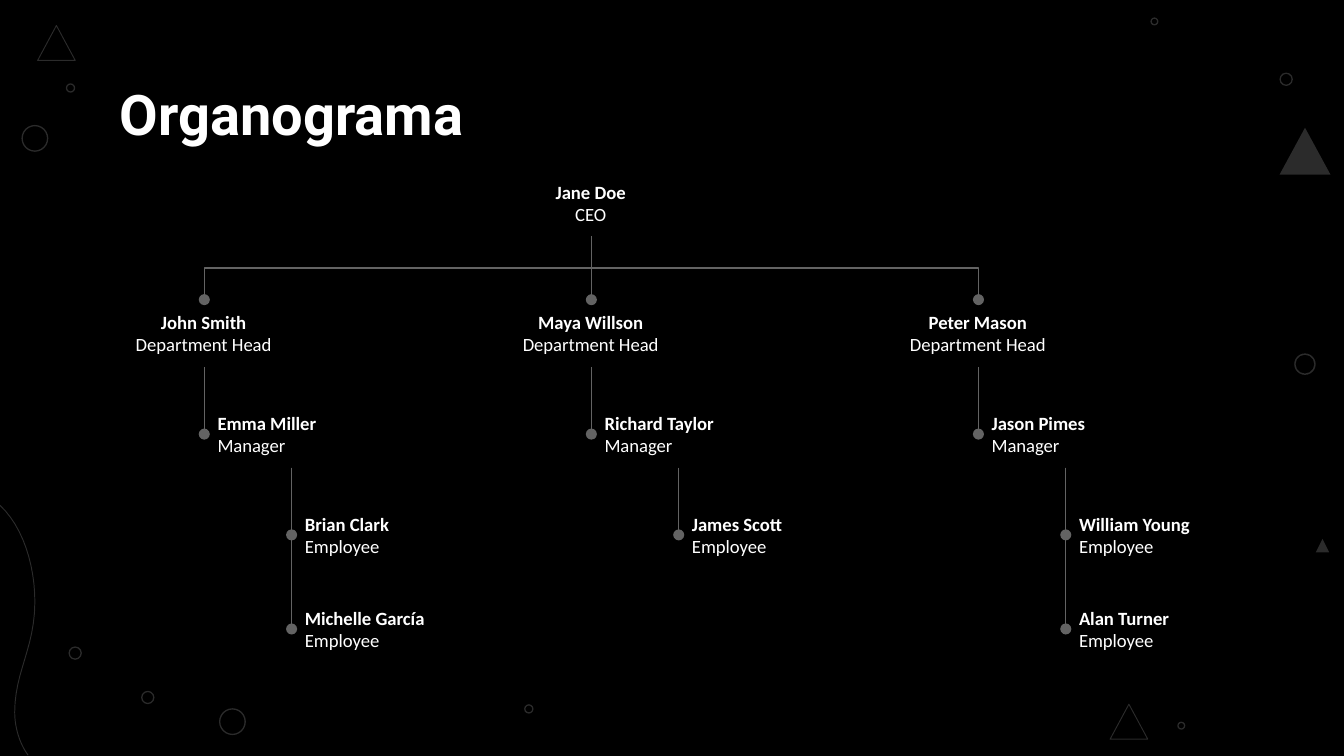
from pptx import Presentation, util as u
from pptx.dml import color
from pptx.enum import shapes, text
from pptx.oxml import ns
from lxml import etree

WHITE, GREY, BLACK = "FFFFFF", "636363", "000000"
KIND = shapes.MSO_SHAPE
LINK = shapes.MSO_CONNECTOR
LEFT, MID = text.PP_ALIGN.LEFT, text.PP_ALIGN.CENTER

TEAMS = [
    ("John Smith", "Emma Miller", ["Brian Clark", "Michelle García"]),
    ("Maya Willson", "Richard Taylor", ["James Scott"]),
    ("Peter Mason", "Jason Pimes", ["William Young", "Alan Turner"]),
]
RINGS = [
    (9.63, 2.63, 0.16), (8.76, 5.37, 0.06), (0.51, 4.81, 0.1),
    (1.63, 5.27, 0.2), (8.56, 0.13, 0.06), (3.9, 5.24, 0.07),
    (1.05, 5.14, 0.1), (0.49, 0.62, 0.07), (0.16, 0.93, 0.2),
    (9.52, 0.54, 0.1),
]
HOLLOW = [(8.26, 5.24, 0.28, 0.26), (0.28, 0.19, 0.28, 0.26)]
SOLID = [(9.79, 4.01, 0.1, 0.1), (9.52, 0.95, 0.38, 0.35)]
WAVE = [
    [(0, 3.76), (0.17, 3.92), (0.26, 4.2), (0.26, 4.48)],
    [(0.26, 4.48), (0.26, 4.82), (0.11, 5), (0.11, 5.3)],
    [(0.11, 5.3), (0.11, 5.42), (0.15, 5.54), (0.21, 5.62)],
]


def paint(fill, tone, alpha=None):
    fill.solid()
    fill.fore_color.rgb = color.RGBColor.from_string(tone)
    if alpha:
        node = fill._xPr.find(".//" + ns.qn("a:srgbClr"))
        etree.SubElement(node, ns.qn("a:alpha"), val=str(alpha * 1000))


def faint(shape, full):
    shape.shadow.inherit = False
    if full:
        paint(shape.fill, WHITE, 17)
        shape.line.fill.background()
    else:
        shape.fill.background()
        shape.line.width = u.Pt(0.5)
        paint(shape.line.fill, WHITE, 17)


def add_ring(slide, x, y, size):
    ring = slide.shapes.add_shape(KIND.DONUT, *map(u.Inches, (x, y, size, size)))
    ring.adjustments[0] = 0.01 / size
    faint(ring, True)


def add_peak(slide, box, full):
    peak = slide.shapes.add_shape(KIND.ISOSCELES_TRIANGLE, *map(u.Inches, box))
    faint(peak, full)


def curve(ends, t):
    parts = ((1 - t) ** 3, 3 * t * (1 - t) ** 2, 3 * t * t * (1 - t), t ** 3)
    return tuple(u.Inches(sum(p * e[i] for p, e in zip(parts, ends))) for i in (0, 1))


def add_wave(slide):
    dots = [curve(ends, n / 12) for ends in WAVE for n in range(1, 13)]
    build = slide.shapes.build_freeform(*curve(WAVE[0], 0))
    build.add_line_segments(dots, close=False)
    faint(build.convert_to_shape(), False)


def add_title(slide, words):
    title = slide.shapes.title
    title.left, title.top, title.width, title.height = map(
        u.Inches, (0.79, 0.49, 8.43, 0.63))
    frame = title.text_frame
    frame.text = words
    set_frame(frame, text.MSO_ANCHOR.TOP)
    style(frame.paragraphs[0], "Roboto", 30, True, LEFT)


def set_frame(frame, anchor):
    frame.word_wrap = True
    frame.auto_size = text.MSO_AUTO_SIZE.NONE
    frame.vertical_anchor = anchor
    frame.margin_left = frame.margin_right = u.Inches(0.1)
    frame.margin_top = frame.margin_bottom = u.Inches(0.1)


def style(para, face, size, bold, align):
    para.alignment = align
    para.font.name = face
    para.font.size = u.Pt(size)
    para.font.bold = bold
    paint(para.font.fill, WHITE)


def add_card(slide, x, y, width, name, role, align=LEFT):
    box = slide.shapes.add_textbox(*map(u.Inches, (x, y, width, 0.5)))
    frame = box.text_frame
    set_frame(frame, text.MSO_ANCHOR.MIDDLE)
    frame.text = f"{name}\n{role}"
    for para, bold in zip(frame.paragraphs, (True, False)):
        style(para, "Calibri", 10, bold, align)


def add_head(slide, x, y, name, role):
    add_card(slide, x - 0.74, y, 1.47, name, role, MID)


def add_link(slide, kind, *ends):
    link = slide.shapes.add_connector(kind, *map(u.Inches, ends))
    link.line.width = u.Pt(0.75)
    paint(link.line.fill, GREY)
    etree.SubElement(link.line._get_or_add_ln(), ns.qn("a:tailEnd"), type="oval")
    etree.SubElement(link._element.spPr, ns.qn("a:effectLst"))
    return link


def add_drop(slide, x, top, end):
    add_link(slide, LINK.STRAIGHT, x, top, x, end)


def add_branch(slide, x, top, side, end):
    midx, midy = (x + side) / 2, (top + end) / 2
    high, wide = (end - top) / 2, abs(side - x) / 2
    link = add_link(slide, LINK.ELBOW, midx - high, midy - wide,
                    midx + high, midy + wide)
    form = link._element.spPr.find(ns.qn("a:xfrm"))
    form.set("rot", str((270 if side > x else 90) * 60000))
    if side > x:
        form.set("flipH", "1")


def add_team(slide, x, head, lead, staff):
    add_head(slide, x, 2.23, head, "Department Head")
    add_drop(slide, x, 2.73, 3.23)
    add_card(slide, x, 2.98, 1.29, lead, "Manager")
    for row, name in enumerate(staff):
        y = 3.73 + 0.7 * row
        add_drop(slide, x + 0.65, 3.48, y + 0.25)
        add_card(slide, x + 0.65, y, 1.29, name, "Employee")


def main():
    deck = Presentation()
    deck.slide_width, deck.slide_height = u.Inches(10), u.Inches(10 * 9 / 16)
    slide = deck.slides.add_slide(deck.slide_layouts[5])
    paint(slide.background.fill, BLACK)
    for ring in RINGS:
        add_ring(slide, *ring)
    for full, boxes in ((False, HOLLOW), (True, SOLID)):
        for box in boxes:
            add_peak(slide, box, full)
    add_wave(slide)
    add_title(slide, "Organograma")

    boss, step = 4.4, 2.88
    add_head(slide, boss, 1.26, "Jane Doe", "CEO")
    for col, team in enumerate(TEAMS):
        x = boss + (col - 1) * step
        if col == 1:
            add_drop(slide, x, 1.76, 2.23)
        else:
            add_branch(slide, boss, 1.76, x, 2.23)
        add_team(slide, x, *team)
    deck.save("out.pptx")


if __name__ == "__main__":
    main()
